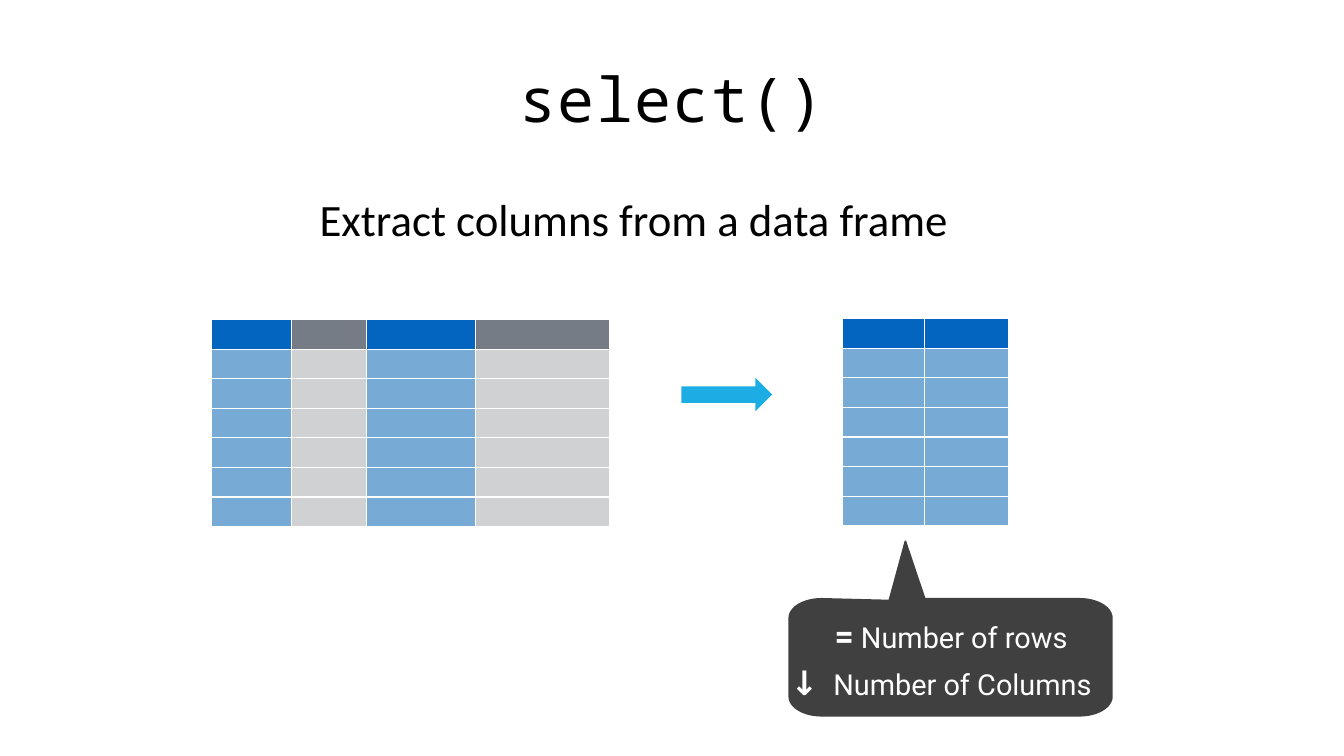
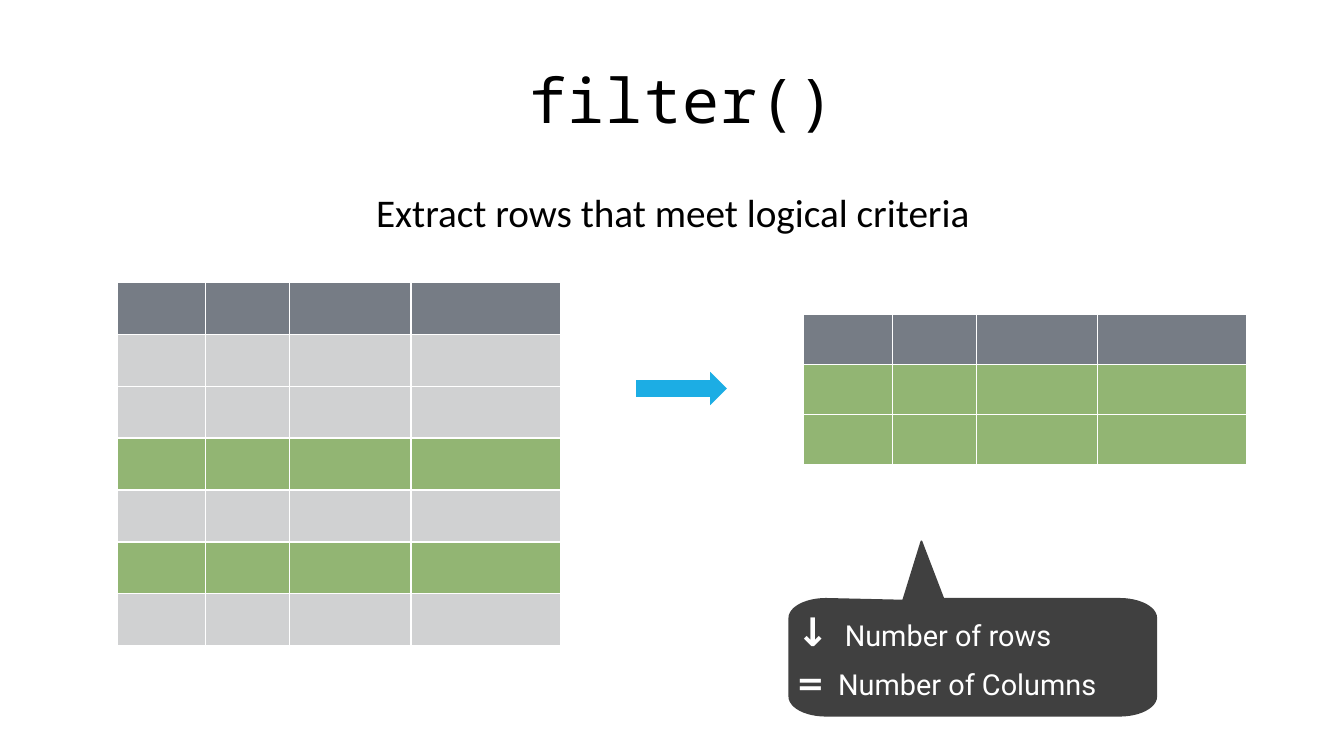
from dataclasses import dataclass
from math import cos, radians, sin

from lxml.etree import SubElement
from pptx import Presentation
from pptx.dml.color import RGBColor
from pptx.enum.shapes import MSO_SHAPE
from pptx.enum.text import PP_ALIGN
from pptx.oxml.ns import qn
from pptx.util import Emu, Inches, Pt

SLIDE_W, SLIDE_H = Inches(13.33), Inches(7.5)
TABLE_COLS = (20, 19, 27.3, 33.7)


@dataclass(frozen=True)
class Theme:
    ink: str = "000000"
    paper: str = "FFFFFF"
    arrow: str = "1CADE4"
    callout: str = "404040"
    blue_head: str = "0365C0"
    blue: str = "78AAD6"
    grey_head: str = "767C85"
    grey: str = "D0D1D2"
    green: str = "92B573"
    code_font: str = "Noto Sans Mono"
    body_font: str = "Calibri"
    note_font: str = "Roboto"
    symbol_font: str = "DejaVu Sans"
    title_size: float = 44
    note_size: float = 20.6
    symbol_size: float = 24
    big_symbol_size: float = 28
    note_spacing: float = 1.17


T = Theme()
CELL_FILLS = {"B": T.blue_head, "b": T.blue, "G": T.grey_head, "g": T.grey, "n": T.green}


@dataclass(frozen=True)
class Box:
    """Position and size in percent of the slide's width and height."""
    x: float
    y: float
    w: float
    h: float

    def emu(self) -> tuple[Emu, Emu, Emu, Emu]:
        return tuple(Emu(round(share * side / 100)) for share, side in
                     zip((self.x, self.y, self.w, self.h), (SLIDE_W, SLIDE_H) * 2))


@dataclass(frozen=True)
class Run:
    text: str
    size: float
    font: str
    color: str = T.paper
    bold: bool = False
    tracking: float = 0


@dataclass(frozen=True)
class Para:
    runs: tuple[Run, ...]
    align: PP_ALIGN = PP_ALIGN.LEFT
    spacing: float = 1.0
    tab: float = 0  # percent of the slide's width


@dataclass(frozen=True)
class Grid:
    """Empty table: one fill letter per cell, relative column widths."""
    box: Box
    rows: tuple[str, ...]
    cols: tuple[float, ...] = TABLE_COLS


@dataclass(frozen=True)
class VerbSlide:
    title: str
    title_box: Box
    summary: Para
    summary_box: Box
    before: Grid
    after: Grid
    arrow: Box
    callout: Box
    note_box: Box
    notes: tuple[Para, ...]


def rgb(color: str) -> RGBColor:
    return RGBColor.from_string(color)


def add_text(shapes, box: Box, paras: tuple[Para, ...]) -> None:
    tf = shapes.add_textbox(*box.emu()).text_frame
    tf.word_wrap = True
    tf.margin_left = tf.margin_top = Inches(0.01)
    tf.margin_right = tf.margin_bottom = 0
    for i, para in enumerate(paras):
        p = tf.paragraphs[0] if i == 0 else tf.add_paragraph()
        if para.tab:
            tabs = SubElement(p._p.get_or_add_pPr(), qn("a:tabLst"))
            SubElement(tabs, qn("a:tab"), pos=str(round(para.tab * SLIDE_W / 100)), algn="l")
        p.alignment = para.align
        p.line_spacing = para.spacing
        for run in para.runs:
            r = p.add_run()
            r.text = run.text
            r.font.size, r.font.name, r.font.bold = Pt(run.size), run.font, run.bold
            r.font.color.rgb = rgb(run.color)
            if run.tracking:
                r._r.get_or_add_rPr().set("spc", str(round(run.tracking * 100)))


def set_borders(cell) -> None:
    tc_pr = cell._tc.get_or_add_tcPr()
    for side in ("lnL", "lnR", "lnT", "lnB"):
        ln = SubElement(tc_pr, qn(f"a:{side}"), w=str(Pt(1)))
        fill = SubElement(ln, qn("a:solidFill"))
        SubElement(fill, qn("a:srgbClr"), val=T.paper)


def add_grid(shapes, grid: Grid) -> None:
    x, y, w, h = grid.box.emu()
    table = shapes.add_table(len(grid.rows), len(grid.cols), x, y, w, h).table
    for col, weight in zip(table.columns, grid.cols):
        col.width = Emu(round(w * weight / sum(grid.cols)))
    for row, letters in zip(table.rows, grid.rows):
        row.height = Emu(round(h / len(grid.rows)))
        for cell, letter in zip(row.cells, letters):
            cell.margin_top = cell.margin_bottom = 0
            # Small type keeps an empty cell from stretching its row
            cell.text_frame.paragraphs[0]._p.get_or_add_endParaRPr().set("sz", "800")
            set_borders(cell)
            cell.fill.solid()
            cell.fill.fore_color.rgb = rgb(CELL_FILLS[letter])


def add_arrow(shapes, box: Box) -> None:
    sp = shapes.add_shape(MSO_SHAPE.RIGHT_ARROW, *box.emu())
    sp.shadow.inherit = False
    sp.fill.solid()
    sp.fill.fore_color.rgb = rgb(T.arrow)
    sp.line.fill.background()


def callout_outline() -> list[tuple[float, float]]:
    """Rounded box with a wedge on top, in shares of its own width and height."""
    rx, ry, top, steps = 0.1, 0.11, 0.33, 12

    def corner(cx: float, cy: float, start: int) -> list[tuple[float, float]]:
        angles = (radians(start + 90 * i / steps) for i in range(steps + 1))
        return [(cx + rx * cos(a), cy + ry * sin(a)) for a in angles]

    return [*corner(rx, top + ry, 180),
            (0.31, top + 0.01), (0.36, 0), (0.42, top),
            *corner(1 - rx, top + ry, 270),
            *corner(1 - rx, 1 - ry, 0),
            *corner(rx, 1 - ry, 90)]


def add_callout(shapes, box: Box, note_box: Box, notes: tuple[Para, ...]) -> None:
    x, y, w, h = box.emu()
    group = shapes.add_group_shape()
    points = [(round(x + px * w), round(y + py * h)) for px, py in callout_outline()]
    outline = group.shapes.build_freeform(*points[0])
    outline.add_line_segments(points[1:], close=True)
    sp = outline.convert_to_shape()
    sp.shadow.inherit = False
    sp.fill.solid()
    sp.fill.fore_color.rgb = sp.line.color.rgb = rgb(T.callout)
    sp.line.width = Pt(1.25)
    add_text(group.shapes, note_box, notes)


def summary(text: str, size: float, align: PP_ALIGN = PP_ALIGN.LEFT) -> Para:
    return Para((Run(text, size, T.body_font, T.ink),), align)


def note(symbol: str, text: str, tab: float = 0, size: float = T.symbol_size,
         font: str = T.symbol_font, align: PP_ALIGN = PP_ALIGN.LEFT) -> Para:
    """Bold symbol, then its label after a tab stop or a single space."""
    gap = "\t" if tab else " "
    return Para((Run(symbol, size, font, bold=True),
                 Run(gap + text, T.note_size, T.note_font)), align, T.note_spacing, tab)


def add_verb_slide(prs, verb: VerbSlide) -> None:
    s = prs.slides.add_slide(prs.slide_layouts[6])
    title = Run(verb.title, T.title_size, T.code_font, T.ink, tracking=1)
    add_text(s.shapes, verb.title_box, (Para((title,), PP_ALIGN.CENTER, 0.8),))
    add_text(s.shapes, verb.summary_box, (verb.summary,))
    add_grid(s.shapes, verb.before)
    add_grid(s.shapes, verb.after)
    add_arrow(s.shapes, verb.arrow)
    add_callout(s.shapes, verb.callout, verb.note_box, verb.notes)


VERBS = (
    VerbSlide(
        title="select()",
        title_box=Box(37.28, 9.87, 25.43, 11.33),
        summary=summary("Extract columns from a data frame", 32),
        summary_box=Box(23.7, 25.2, 48.53, 17.07),
        before=Grid(Box(15.75, 42.27, 29.62, 27.4), ("BGBG",) + ("bgbg",) * 6),
        after=Grid(Box(62.7, 42.13, 12.38, 27.47), ("BB",) + ("bb",) * 6, (49, 51)),
        arrow=Box(50.7, 50, 6.75, 4.4),
        callout=Box(58.73, 71.6, 24, 23.07),
        note_box=Box(58.73, 80.27, 24, 13.73),
        notes=(note("=", "Number of rows", font=T.note_font, align=PP_ALIGN.CENTER),
               note("↓", "Number of Columns", tab=3.2)),
    ),
    VerbSlide(
        title="filter()",
        title_box=Box(8.7, 10, 84, 11.33),
        summary=summary("Extract rows that meet logical criteria", 28, PP_ALIGN.CENTER),
        summary_box=Box(24.45, 24.8, 51.15, 8.4),
        before=Grid(Box(8.7, 37.33, 33, 48.13),
                    ("GGGG", "gggg", "gggg", "nnnn", "gggg", "nnnn", "gggg")),
        after=Grid(Box(59.78, 41.6, 33, 19.87), ("GGGG", "nnnn", "nnnn")),
        arrow=Box(47.33, 49.2, 6.75, 4.4),
        callout=Box(58.73, 71.6, 27.3, 23.07),
        note_box=Box(59.18, 79.2, 25.35, 13.73),
        notes=(note("↓", "Number of rows", tab=3.6, size=T.big_symbol_size),
               note("=", "Number of Columns", tab=3.1)),
    ),
)


def main() -> None:
    prs = Presentation()
    prs.slide_width, prs.slide_height = SLIDE_W, SLIDE_H
    for verb in VERBS:
        add_verb_slide(prs, verb)
    prs.save("out.pptx")


if __name__ == "__main__":
    main()
